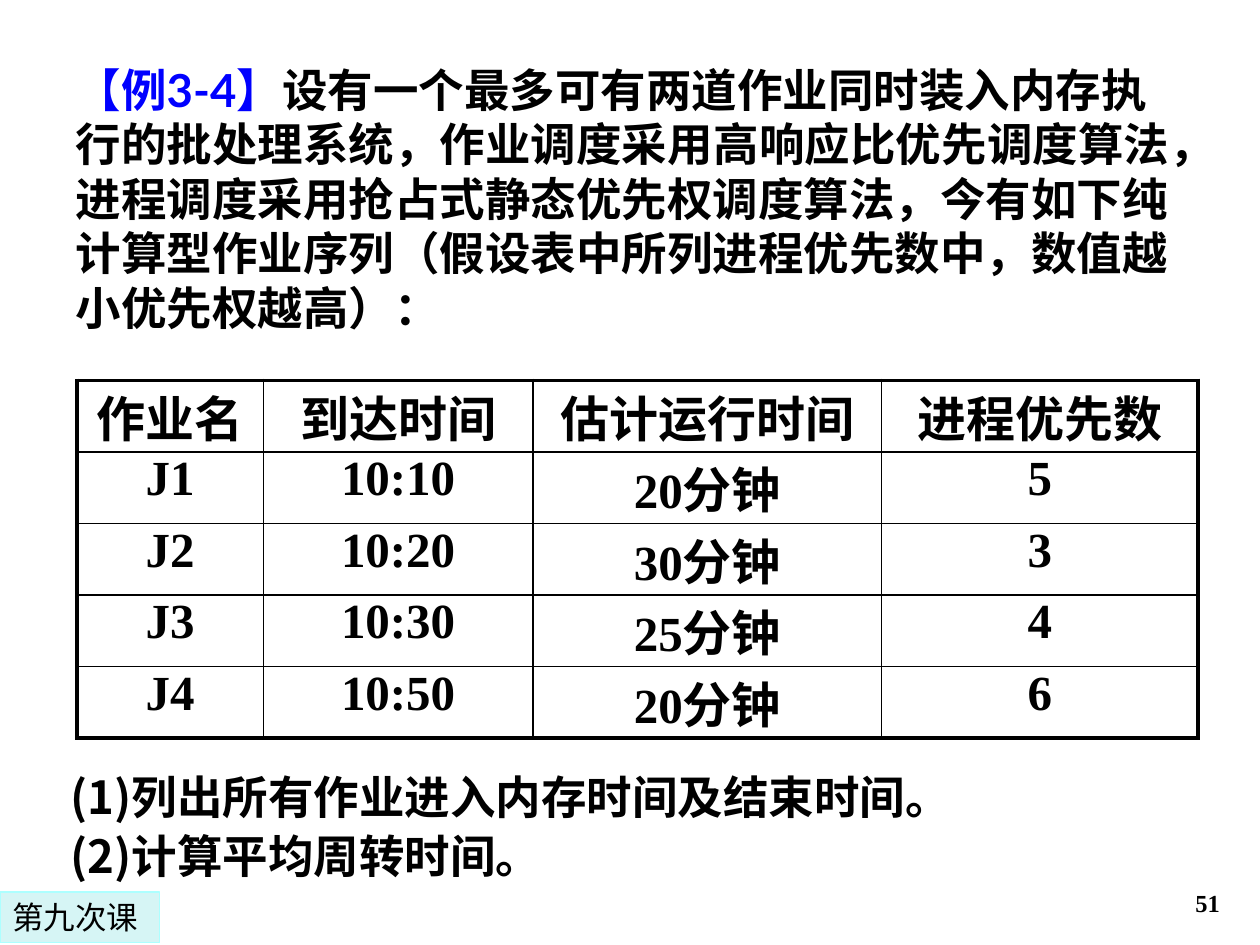
"""Build the job scheduling example slide with its table of jobs."""
from lxml import etree
from pptx import Presentation
from pptx.dml.color import RGBColor
from pptx.enum.shapes import MSO_SHAPE
from pptx.enum.text import MSO_ANCHOR, MSO_AUTO_SIZE, PP_ALIGN
from pptx.oxml.ns import qn
from pptx.util import Pt

LEFT, MID, RIGHT = PP_ALIGN.LEFT, PP_ALIGN.CENTER, PP_ALIGN.RIGHT
TOP, BASE = MSO_ANCHOR.TOP, MSO_ANCHOR.BOTTOM
FIXED = MSO_AUTO_SIZE.NONE
RECT = MSO_SHAPE.RECTANGLE
BLACK = RGBColor(0, 0, 0)
BLUE = RGBColor(0, 0, 255)
PALE = RGBColor(0xD6, 0xF5, 0xF5)
CYAN = RGBColor(0xAD, 0xFF, 0xFF)
HAN, TIMES, LATO = "Noto Sans CJK SC", "Times New Roman", "Lato"


def write(para, text, size=26, font=HAN, color=BLACK, bold=True, align=LEFT, before=0):
    """Add a formatted run to a paragraph."""
    para.alignment = align
    para.space_before = Pt(before)
    run = para.add_run()
    run.text = text
    run.font.size = Pt(size)
    run.font.name = font
    run.font.bold = bold
    run.font.color.rgb = color
    east = etree.SubElement(run.font._element, qn("a:ea"))
    east.set("typeface", HAN)


def border(cell, side, width):
    """Draw one black border of a table cell."""
    line = etree.SubElement(cell._tc.get_or_add_tcPr(), qn(f"a:ln{side}"), w=str(Pt(width)))
    fill = etree.SubElement(line, qn("a:solidFill"))
    etree.SubElement(fill, qn("a:srgbClr"), val=str(BLACK))


prs = Presentation()
prs.slide_width, prs.slide_height = Pt(720), Pt(540)
slide = prs.slides.add_slide(prs.slide_layouts[1])
title, body = slide.placeholders
page = slide.shapes.add_textbox(0, 0, 0, 0)
tag = slide.shapes.add_shape(RECT, 0, 0, 0, 0)

for shape, left, top, width, height, anchor in (
    (title, 36, 31.7, 641.5, 165, TOP),
    (body, 33, 435.6, 588, 73.4, TOP),
    (page, 554.4, 491.8, 149.8, 36, BASE),
    (tag, 0, 509.8, 91.4, 28.8, TOP),
):
    shape.left, shape.top = Pt(left), Pt(top)
    shape.width, shape.height = Pt(width), Pt(height)
    frame = shape.text_frame
    frame.word_wrap = True
    frame.auto_size = FIXED
    frame.vertical_anchor = anchor

for text, font, color in (
    ("【例", HAN, BLUE),
    ("3-4", LATO, BLUE),
    ("】", HAN, BLUE),
    ("设有一个最多可有两道作业同时装入内存执行的批处理系统，作业调度采用", HAN, BLACK),
    ("高响应比优先", LATO, BLACK),
    ("调度算法，进程调度采用抢占式静态优先权调度算法，今有如下纯计算型作业序列"
     "（假设表中所列进程优先数中，数值越小优先权越高）：", HAN, BLACK),
):
    write(title.text_frame.paragraphs[0], text, font=font, color=color)

tasks = body.text_frame
tasks.add_paragraph()
for para, text in zip(tasks.paragraphs, (
    "(1)列出所有作业进入内存时间及结束时间。",
    "(2)计算平均周转时间。",
)):
    write(para, text, before=2.6)
    props = para._p.get_or_add_pPr()
    props.set("marL", "0")
    props.set("indent", "0")
    etree.SubElement(props, qn("a:buNone"))

write(page.text_frame.paragraphs[0], "51", size=14, font=TIMES, align=RIGHT)

tag.shadow.inherit = False
tag.fill.solid()
tag.fill.fore_color.rgb = PALE
tag.line.color.rgb = CYAN
tag.line.width = Pt(0.75)
write(tag.text_frame.paragraphs[0], "第九次课", size=18, font="DejaVu Sans", bold=False)

jobs = (
    ("作业名", "到达时间", "估计运行时间", "进程优先数"),
    ("J1", "10:10", "20分钟", "5"),
    ("J2", "10:20", "30分钟", "3"),
    ("J3", "10:30", "25分钟", "4"),
    ("J4", "10:50", "20分钟", "6"),
)
widths = (106.6, 154, 199.4, 180.7)
rows, cols = len(jobs), len(widths)
grid = slide.shapes.add_table(
    rows, cols, Pt(43.9), Pt(217.4), Pt(sum(widths)), Pt(204.5)).table
for col, width in zip(grid.columns, widths):
    col.width = Pt(width)
for r, job in enumerate(jobs):
    grid.rows[r].height = Pt(40.9)
    for c, text in enumerate(job):
        cell = grid.cell(r, c)
        cell.margin_top = cell.margin_bottom = 0
        edges = {"L": c == 0, "R": c == cols - 1, "T": r == 0, "B": r == rows - 1}
        for side, outer in edges.items():
            border(cell, side, 2.25 if outer else 1)
        cell.fill.background()
        write(cell.text_frame.paragraphs[0], text, size=28, font=TIMES, align=MID, before=5.6)

prs.save("out.pptx")
